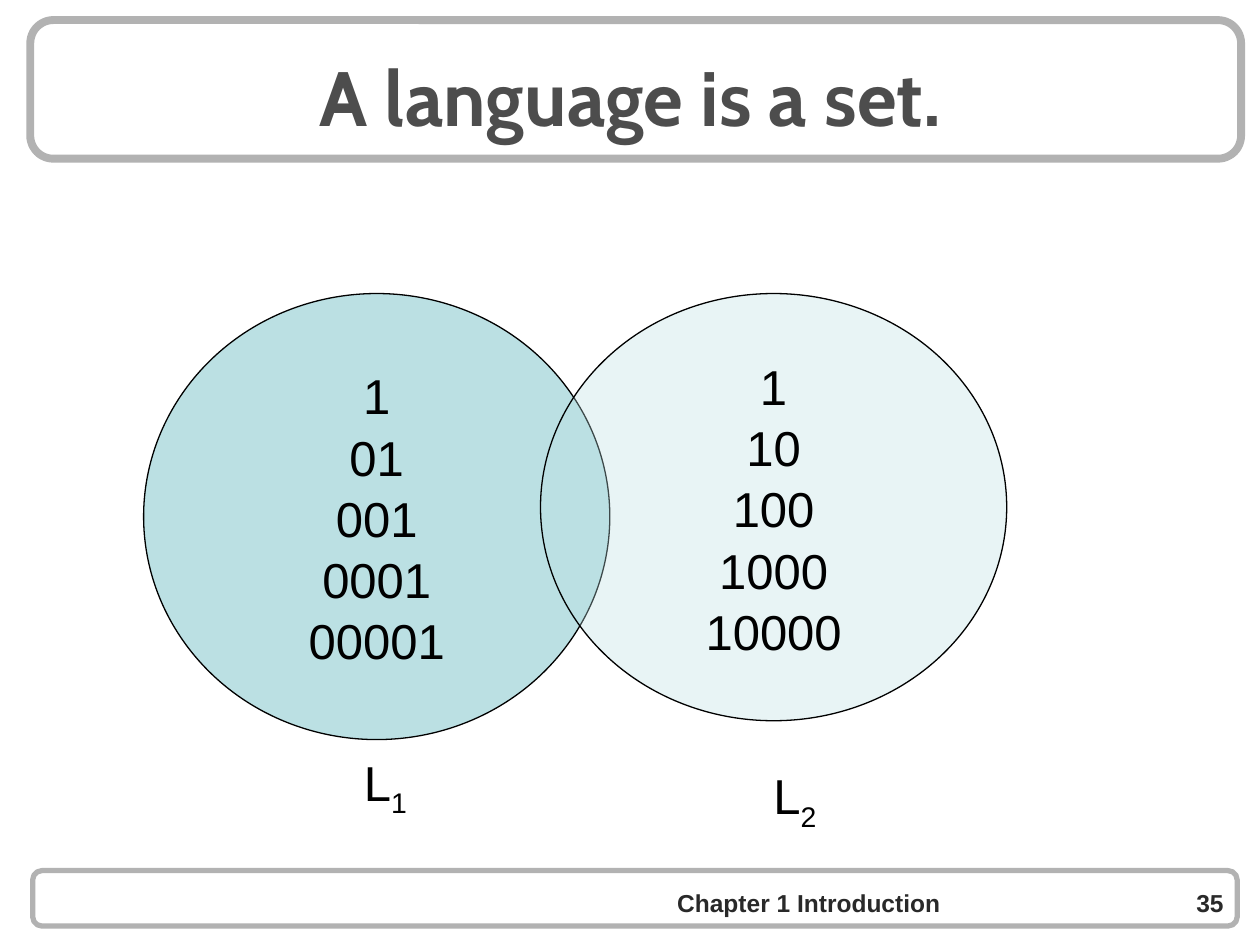
from lxml.etree import SubElement
from pptx import Presentation
from pptx.dml.color import RGBColor
from pptx.enum.shapes import MSO_SHAPE as Shape
from pptx.enum.text import MSO_ANCHOR as Anchor, PP_ALIGN as Align
from pptx.oxml.ns import qn
from pptx.util import Inches, Pt

BLACK = RGBColor(0x00, 0x00, 0x00)
FRAME_GREY = RGBColor(0xB2, 0xB2, 0xB2)
TITLE_GREY = RGBColor(0x4D, 0x4D, 0x4D)
FOOTER_GREY = RGBColor(0x29, 0x29, 0x29)
TEAL = RGBColor(0xBB, 0xE0, 0xE3)


def write(shape, lines, size=28, font="Arial", color=BLACK, bold=False,
          align=Align.CENTER, anchor=Anchor.MIDDLE, wrap=True, spacing=None,
          subscript=None):
    """Fill a shape with one paragraph per line, the last with an optional subscript."""
    frame = shape.text_frame
    frame.word_wrap = wrap
    frame.vertical_anchor = anchor
    for index, line in enumerate(lines):
        para = frame.add_paragraph() if index else frame.paragraphs[0]
        para.alignment = align
        para.line_spacing = spacing
        para.add_run().text = line
        if subscript and index == len(lines) - 1:
            lowered = para.add_run()
            lowered.text = subscript
            lowered.font._element.set("baseline", "-25000")
        for span in para.runs:
            span.font.size = Pt(size)
            span.font.name = font
            span.font.bold = bold
            span.font.color.rgb = color


def add_text(page, box, lines, **style):
    write(page.shapes.add_textbox(*map(Inches, box)), lines, **style)


def add_outlined(page, kind, box, line_color, line_width):
    shape = page.shapes.add_shape(kind, *map(Inches, box))
    shape.shadow.inherit = False
    shape.fill.background()
    shape.line.color.rgb = line_color
    shape.line.width = Pt(line_width)
    return shape


def add_title(page, box, text):
    left, top, width, height = box
    add_outlined(page, Shape.ROUNDED_RECTANGLE, box, FRAME_GREY, 4.5)
    add_text(page, (left - 0.04, top + 0.05, width, height), [text],
             size=44, font="Cabin", color=TITLE_GREY, bold=True)


def add_footer(page, box, chapter, number):
    left, top, width, height = box
    add_outlined(page, Shape.ROUNDED_RECTANGLE, box, FRAME_GREY, 3)
    style = dict(size=14, color=FOOTER_GREY, bold=True)
    text_top, text_height = top + 0.07, height - 0.07
    add_text(page, (left + 3.56, text_top, 5.2, text_height), [chapter], **style)
    add_text(page, (left + 8.84, text_top, 0.71, text_height), [number],
             align=Align.RIGHT, **style)


def add_language(page, box, words, index, label_at, opacity=100):
    """Draw a language as an ellipse holding its words, with a label L and its index."""
    ellipse = add_outlined(page, Shape.OVAL, box, BLACK, 0.75)
    ellipse.fill.solid()
    ellipse.fill.fore_color.rgb = TEAL
    if opacity < 100:
        color = ellipse._element.spPr.find(qn("a:solidFill"))[0]
        SubElement(color, qn("a:alpha")).set("val", str(opacity * 1000))
    write(ellipse, words, wrap=False, spacing=1.04)
    add_text(page, (*label_at, 0.54, 0.63), ["L"], subscript=index,
             align=Align.LEFT, anchor=Anchor.TOP, wrap=False)


def main():
    deck = Presentation()
    deck.slide_width, deck.slide_height = Inches(10), Inches(7.5)
    page = deck.slides.add_slide(deck.slide_layouts[6])
    add_title(page, (0.24, 0.16, 9.61, 1.1), "A language is a set.")
    add_footer(page, (0.26, 6.91, 9.56, 0.44), "Chapter 1 Introduction", "35")
    zeros = ["0" * count for count in range(5)]
    add_language(page, (1.14, 2.33, 3.7, 3.54), [zero + "1" for zero in zeros],
                 "1", (2.79, 5.92))
    add_language(page, (4.29, 2.33, 3.7, 3.39), ["1" + zero for zero in zeros],
                 "2", (6.04, 6.03), opacity=33)
    deck.save("out.pptx")


if __name__ == "__main__":
    main()
